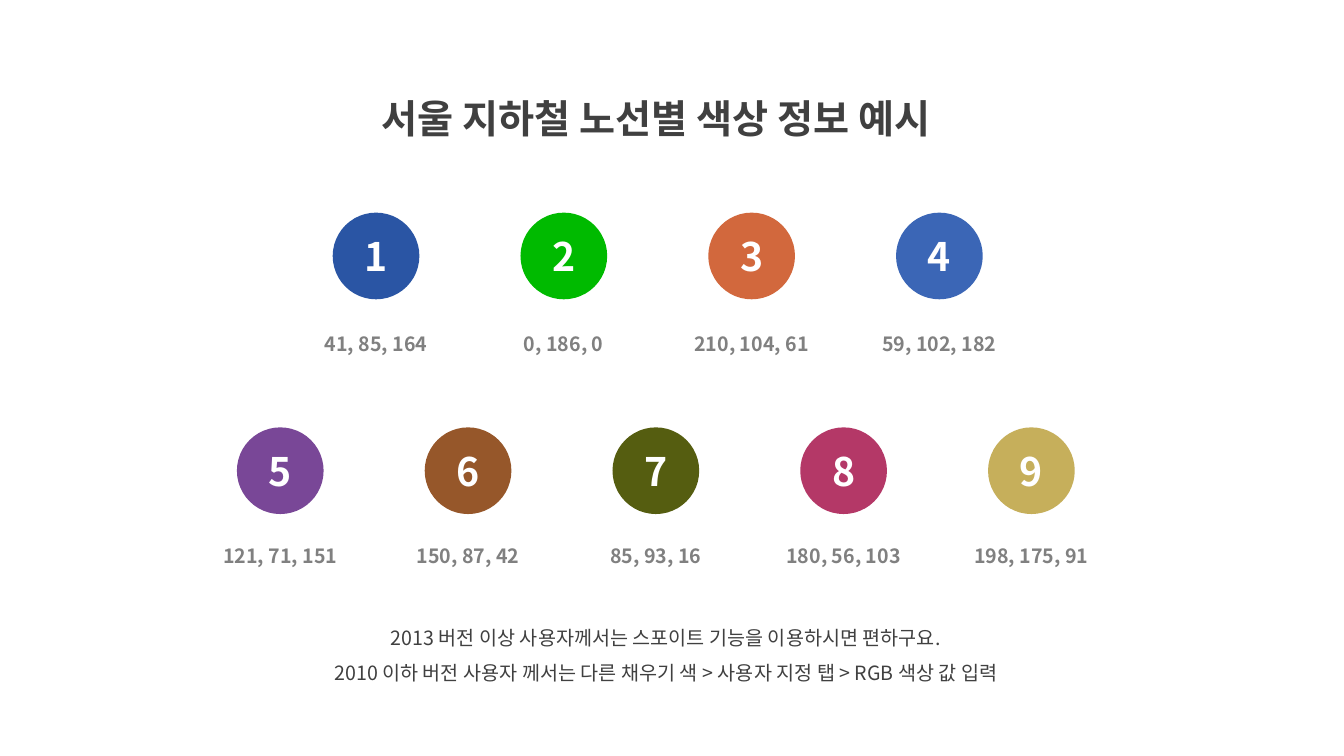
from pptx import Presentation
from pptx.dml.color import RGBColor
from pptx.enum.shapes import MSO_SHAPE as Shape
from pptx.enum.text import MSO_ANCHOR as Anchor, PP_ALIGN as Align
from pptx.oxml.ns import qn
from pptx.util import Inches, Pt
from lxml.etree import SubElement

FONT = "Noto Sans CJK KR"
COLORS = {
    "dark": "404040", "gray": "808080", "white": "FFFFFF",
    "1": "2A55A4", "2": "00BA00", "3": "D2683D", "4": "3B66B6",
    "5": "794797", "6": "96572A", "7": "555D10", "8": "B43867", "9": "C6AF5B",
}
TITLE = "서울 지하철 노선별 색상 정보 예시"
NOTES = [
    "2013 버전 이상 사용자께서는 스포이트 기능을 이용하시면 편하구요.",
    "2010 이하 버전 사용자 께서는 다른 채우기 색 > 사용자 지정 탭 > RGB 색상 값 입력",
]
ROWS = [
    {"left": 3.3, "top": 2.11, "label_top": 3.12, "lines": [
        ("1", "41, 85, 164"), ("2", "0, 186, 0"),
        ("3", "210, 104, 61"), ("4", "59, 102, 182")]},
    {"left": 2.35, "top": 4.24, "label_top": 5.22, "lines": [
        ("5", "121, 71, 151"), ("6", "150, 87, 42"), ("7", "85, 93, 16"),
        ("8", "180, 56, 103"), ("9", "198, 175, 91")]},
]
DIAMETER = 0.86
PITCH = (9.8 - 2.35) / 4
LABEL_W, LABEL_H = 1.53, 0.47


def rgb(name):
    return RGBColor.from_string(COLORS[name])


def write(sp, texts, size, color, bold=False, spacing=None, anchor=Anchor.MIDDLE):
    tf = sp.text_frame
    tf.word_wrap = True
    tf.vertical_anchor = anchor
    tf.text = "\n".join(texts)
    for p in tf.paragraphs:
        p.alignment = Align.CENTER
        p.line_spacing = spacing
        p.font.size = Pt(size)
        p.font.bold = bold
        p.font.color.rgb = rgb(color)
        p.font.name = FONT
        props = p._p.pPr.find(qn("a:defRPr"))
        SubElement(props, qn("a:ea")).set("typeface", FONT)


def add_label(slide, box, texts, size, color, **style):
    sp = slide.shapes.add_textbox(*map(Inches, box))
    write(sp, texts, size, color, spacing=1.5, **style)


def add_badge(slide, left, top, number):
    sp = slide.shapes.add_shape(Shape.OVAL, *map(Inches, (left, top, DIAMETER, DIAMETER)))
    sp.shadow.inherit = False
    sp.fill.solid()
    sp.fill.fore_color.rgb = rgb(number)
    sp.line.fill.background()
    write(sp, [number], 28, "white", bold=True)


def main():
    prs = Presentation()
    prs.slide_width, prs.slide_height = Inches(13.33), Inches(7.5)
    slide = prs.slides.add_slide(prs.slide_layouts[5])

    title = slide.shapes.title
    title.left, title.top, title.width, title.height = map(Inches, (3.1, 0.65, 6.81, 0.81))
    write(title, [TITLE], 28, "dark", bold=True, spacing=1.5, anchor=Anchor.TOP)
    add_label(slide, (2.61, 6.04, 7.99, 0.81), NOTES, 14, "dark", anchor=Anchor.TOP)

    for row in ROWS:
        for i, (number, values) in enumerate(row["lines"]):
            left = row["left"] + i * PITCH
            add_badge(slide, left, row["top"], number)
            label_left = left + (DIAMETER - LABEL_W) / 2
            add_label(slide, (label_left, row["label_top"], LABEL_W, LABEL_H),
                      [values], 14, "gray", bold=True)

    prs.save("out.pptx")


if __name__ == "__main__":
    main()
